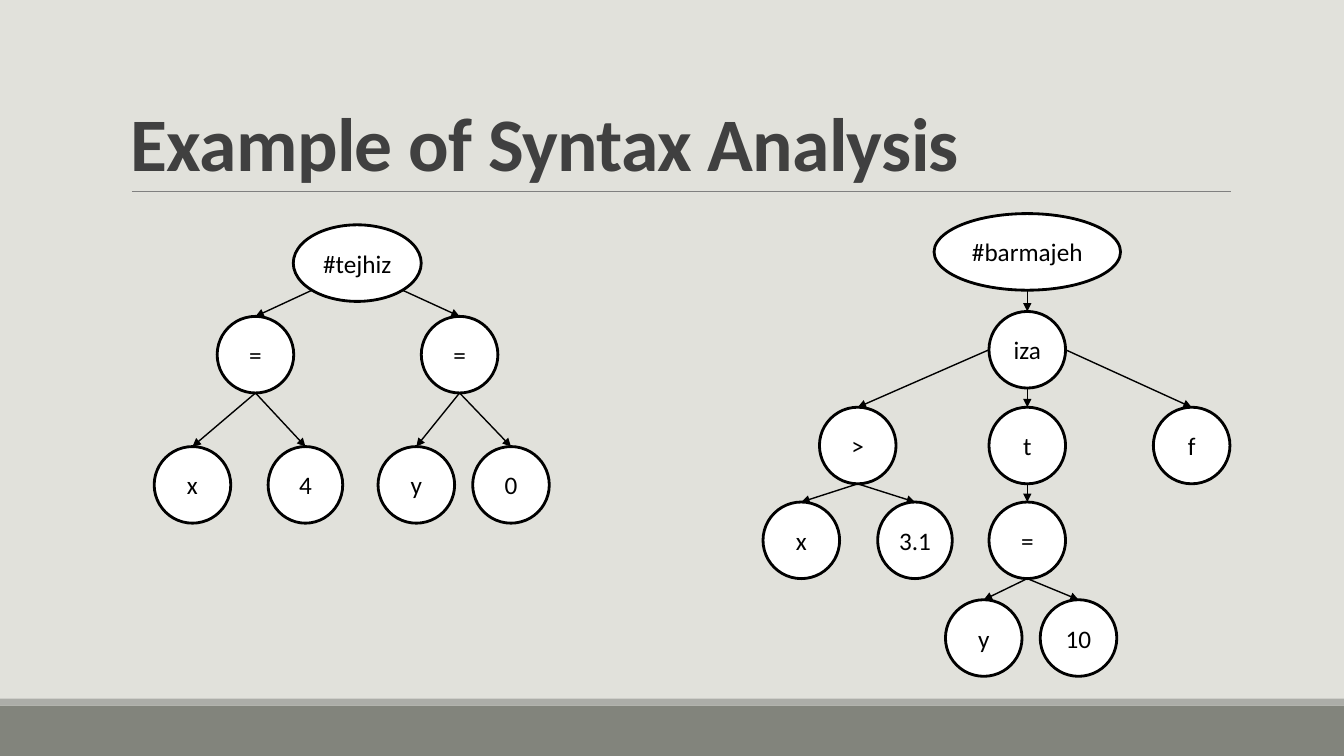
"""Draw two syntax trees below a slide title."""
from dataclasses import dataclass

from lxml.etree import SubElement
from pptx import Presentation
from pptx.dml.color import RGBColor
from pptx.enum.shapes import MSO_CONNECTOR, MSO_SHAPE
from pptx.enum.text import MSO_ANCHOR, PP_ALIGN
from pptx.oxml.ns import qn
from pptx.util import Pt


@dataclass(frozen=True)
class Theme:
    back: str = "E1E1DB"
    band: str = "82847C"
    strip: str = "ACADA8"
    rule: str = "808080"
    head: str = "404040"
    ink: str = "000000"
    node: str = "FFFFFF"
    face: str = "Calibri"
    large: int = 54
    small: int = 18


theme = Theme()


def write(shape, text, size, color, bold, frame, para):
    body = shape.text_frame
    line = body.paragraphs[0]
    run = line.add_run()
    run.text = text
    font = {"name": theme.face, "size": Pt(size), "bold": bold}
    for item, values in ((body, frame), (line, para), (run.font, font)):
        for name, value in values.items():
            setattr(item, name, value)
    run.font.color.rgb = RGBColor.from_string(color)
    return run


def link(start, end, color, width):
    edge = slide.shapes.add_connector(
        MSO_CONNECTOR.STRAIGHT, *(Pt(value) for value in start + end))
    edge.line.color.rgb = RGBColor.from_string(color)
    edge.line.width = Pt(width)
    SubElement(edge._element.spPr, qn("a:effectLst"))
    return edge


deck = Presentation()
deck.slide_width, deck.slide_height = Pt(960), Pt(540)
slide = deck.slides.add_slide(deck.slide_layouts[6])
slide.background.fill.solid()
slide.background.fill.fore_color.rgb = RGBColor.from_string(theme.back)

for top, height, color in ((504, 36, theme.band), (499, 5, theme.strip)):
    bar = slide.shapes.add_shape(
        MSO_SHAPE.RECTANGLE, Pt(0), Pt(top), Pt(960), Pt(height))
    bar.shadow.inherit = False
    bar.fill.solid()
    bar.fill.fore_color.rgb = RGBColor.from_string(color)
    bar.line.fill.background()

link((94.3, 136.8), (879.1, 136.8), theme.rule, 0.5)
title = slide.shapes.add_textbox(Pt(86.4), Pt(22.3), Pt(792), Pt(114.5))
run = write(title, "Example of Syntax Analysis", theme.large, theme.head, True,
            {"word_wrap": True, "vertical_anchor": MSO_ANCHOR.BOTTOM},
            {"line_spacing": 0.85})
run.font._element.set("spc", "-50")

SIZE = 54.7
ROOT, LEFT, RIGHT = 160.6, 226, 319
MAIN, TEST, PART, LEAF, LAST = 152.6, 222.5, 290.9, 358.6, 428.4
AXIS = 733.8
DOWN, WEST, EAST = (0, 0.5), (-0.5, 0), (0.5, 0)
SOUTHWEST, SOUTHEAST = (-0.354, 0.354), (0.354, 0.354)

nodes = (
    ("init", "#tejhiz", 255.2, ROOT, 91.4, None, None),
    ("setx", "=", 182.5, LEFT, SIZE, "init", SOUTHWEST),
    ("sety", "=", 328.3, LEFT, SIZE, "init", SOUTHEAST),
    ("x", "x", 137.5, RIGHT, SIZE, "setx", DOWN),
    ("four", "4", 218.2, RIGHT, 53.3, "setx", DOWN),
    ("y", "y", 297.4, RIGHT, SIZE, "sety", DOWN),
    ("zero", "0", 365, RIGHT, SIZE, "sety", DOWN),
    ("main", "#barmajeh", AXIS, MAIN, 133.2, None, None),
    ("if", "iza", AXIS, TEST, SIZE, "main", DOWN),
    ("more", ">", 612.7, PART, SIZE, "if", WEST),
    ("then", "t", AXIS, PART, SIZE, "if", DOWN),
    ("else", "f", 851.2, PART, SIZE, "if", EAST),
    ("left", "x", 572.4, LEAF, SIZE, "more", DOWN),
    ("right", "3.1", 653.6, LEAF, 53.3, "more", DOWN),
    ("set", "=", AXIS, LEAF, SIZE, "then", DOWN),
    ("name", "y", 702.7, LAST, SIZE, "set", DOWN),
    ("ten", "10", 770.4, LAST, SIZE, "set", DOWN),
)

frame = {"word_wrap": False, "vertical_anchor": MSO_ANCHOR.MIDDLE,
         "margin_left": 0, "margin_right": 0}
placed = {}
for key, text, mid, top, width, parent, side in nodes:
    oval = slide.shapes.add_shape(
        MSO_SHAPE.OVAL, Pt(mid - width / 2), Pt(top), Pt(width), Pt(SIZE))
    oval.shadow.inherit = False
    oval.fill.solid()
    oval.fill.fore_color.rgb = RGBColor.from_string(theme.node)
    oval.line.color.rgb = RGBColor.from_string(theme.ink)
    oval.line.width = Pt(2)
    write(oval, text, theme.small, theme.ink, False, frame,
          {"alignment": PP_ALIGN.CENTER})
    placed[key] = mid, top + SIZE / 2, width
    if parent:
        x, y, wide = placed[parent]
        start = x + side[0] * wide, y + side[1] * SIZE
        edge = link(start, (mid, top), theme.ink, 1)
        edge.end_connect(oval, 0)
        SubElement(edge._element.spPr.get_or_add_ln(), qn("a:tailEnd"),
                   type="triangle")

deck.save("out.pptx")
